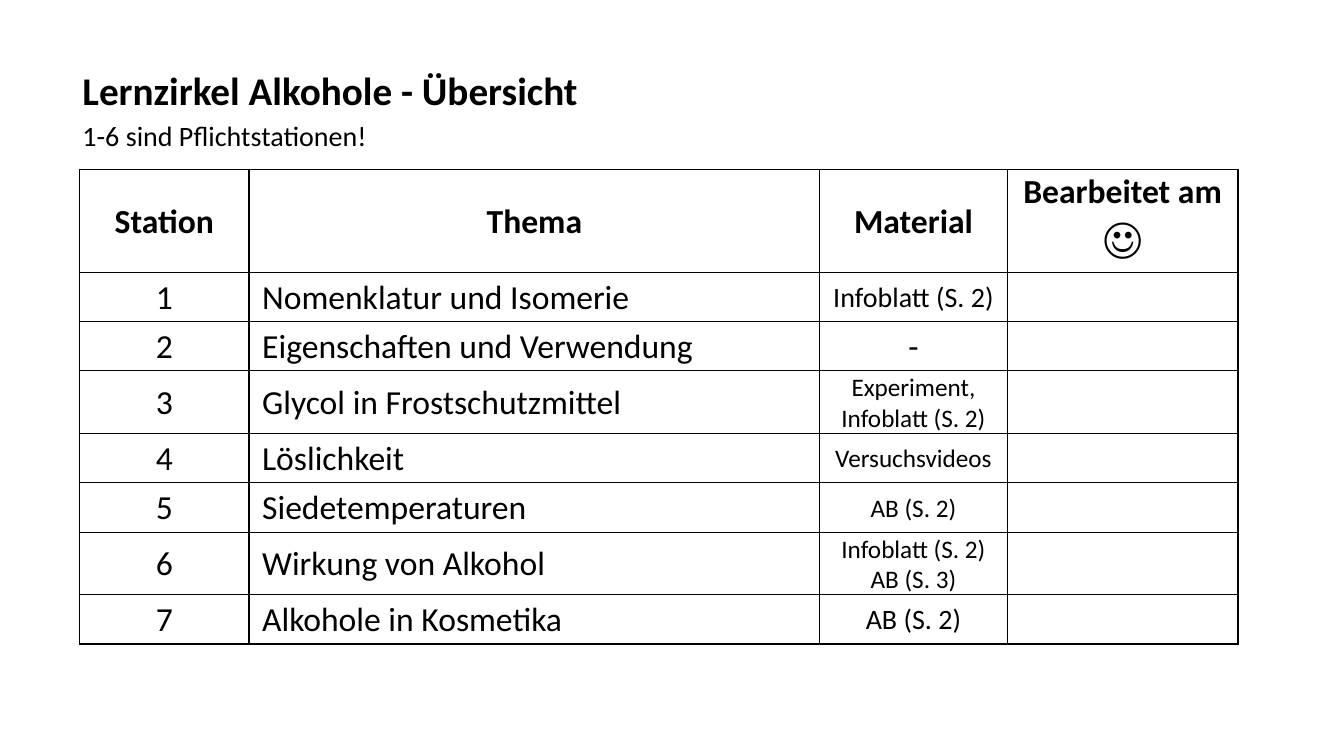
from dataclasses import dataclass

from lxml import etree
from pptx import Presentation
from pptx.dml.color import RGBColor
from pptx.enum.text import MSO_ANCHOR, PP_ALIGN
from pptx.oxml.ns import qn
from pptx.util import Inches, Pt

CENTER, LEFT = PP_ALIGN.CENTER, PP_ALIGN.LEFT
TOP, MIDDLE, BOTTOM = MSO_ANCHOR.TOP, MSO_ANCHOR.MIDDLE, MSO_ANCHOR.BOTTOM


@dataclass(frozen=True)
class Theme:
    font: str = "Calibri"
    ink: str = "000000"
    title: int = 28
    smiley: int = 31
    body: int = 24
    note: int = 20
    small: int = 18
    border: int = 1


THEME = Theme()
COLUMN_WIDTHS = (1.68, 5.66, 1.86, 2.29)
HEADER_HEIGHT, ROW_HEIGHT = 1.02, 0.49
HEADERS = ("Station", "Thema", "Material")
STATIONS = (
    ("Nomenklatur und Isomerie", ["Infoblatt (S. 2)"], THEME.note),
    ("Eigenschaften und Verwendung", ["-"], THEME.body),
    ("Glycol in Frostschutzmittel", ["Experiment, Infoblatt (S. 2)"], THEME.small),
    ("Löslichkeit", ["Versuchsvideos"], THEME.small),
    ("Siedetemperaturen", ["AB (S. 2)"], THEME.small),
    ("Wirkung von Alkohol", ["Infoblatt (S. 2)", "AB (S. 3)"], THEME.small),
    ("Alkohole in Kosmetika", ["AB (S. 2)"], THEME.note),
)


def apply(target, values):
    for name, value in values.items():
        setattr(target, name, value)


def add_span(para, text, size, bold=False):
    span = para.add_run()
    span.text = text
    apply(span.font, {"name": THEME.font, "size": Pt(size), "bold": bold})
    span.font.color.rgb = RGBColor.from_string(THEME.ink)


def add_heading(page):
    box = page.shapes.add_textbox(Inches(0.72), Inches(0.54), Inches(11.5), Inches(1.02))
    frame = box.text_frame
    apply(frame, {"word_wrap": True, "vertical_anchor": BOTTOM})
    title, subtitle = frame.paragraphs[0], frame.add_paragraph()
    for para in (title, subtitle):
        apply(para, {"line_spacing": 0.9, "space_after": Pt(6)})
    add_span(title, "Lernzirkel Alkohole - Übersicht", THEME.title, bold=True)
    add_span(subtitle, "1-6 sind Pflichtstationen!", THEME.note)


def style_cell(cell):
    """Give the cell thin borders on all sides, no fill and tight margins."""
    properties = cell._tc.get_or_add_tcPr()
    for side in ("lnL", "lnR", "lnT", "lnB"):
        line = etree.SubElement(properties, qn(f"a:{side}"), w=str(Pt(THEME.border)))
        fill = etree.SubElement(line, qn("a:solidFill"))
        etree.SubElement(fill, qn("a:srgbClr"), val=THEME.ink)
    cell.fill.background()
    apply(cell, {
        "margin_left": Inches(0.13), "margin_right": Inches(0.13),
        "margin_top": Inches(0.02), "margin_bottom": 0,
        "vertical_anchor": MIDDLE,
    })


def write_cell(cell, lines, size=THEME.body, bold=False, align=CENTER):
    frame = cell.text_frame
    for index, text in enumerate(lines):
        para = frame.add_paragraph() if index else frame.paragraphs[0]
        para.alignment = align
        add_span(para, text, size, bold)


def add_station_table(page):
    row_count = len(STATIONS) + 1
    height = HEADER_HEIGHT + ROW_HEIGHT * len(STATIONS)
    table = page.shapes.add_table(
        row_count, len(COLUMN_WIDTHS), Inches(0.79), Inches(1.68),
        Inches(sum(COLUMN_WIDTHS)), Inches(height)).table
    apply(table, {"first_row": False, "horz_banding": False})
    for column, width in zip(table.columns, COLUMN_WIDTHS):
        column.width = Inches(width)
    for index, row in enumerate(table.rows):
        row.height = Inches(ROW_HEIGHT if index else HEADER_HEIGHT)
    for cell in table.iter_cells():
        style_cell(cell)

    for column, header in enumerate(HEADERS):
        write_cell(table.cell(0, column), [header], bold=True)
    done = table.cell(0, len(HEADERS))
    done.vertical_anchor = TOP
    write_cell(done, ["Bearbeitet am "], bold=True)
    add_span(done.text_frame.paragraphs[0], "☺", THEME.smiley, bold=True)

    for number, (topic, material, size) in enumerate(STATIONS, start=1):
        write_cell(table.cell(number, 0), [str(number)])
        write_cell(table.cell(number, 1), [topic], align=LEFT)
        write_cell(table.cell(number, 2), material, size)


def main():
    deck = Presentation()
    apply(deck, {"slide_width": Inches(13.33), "slide_height": Inches(7.5)})
    page = deck.slides.add_slide(deck.slide_layouts[6])
    add_heading(page)
    add_station_table(page)
    deck.save("out.pptx")


if __name__ == "__main__":
    main()
